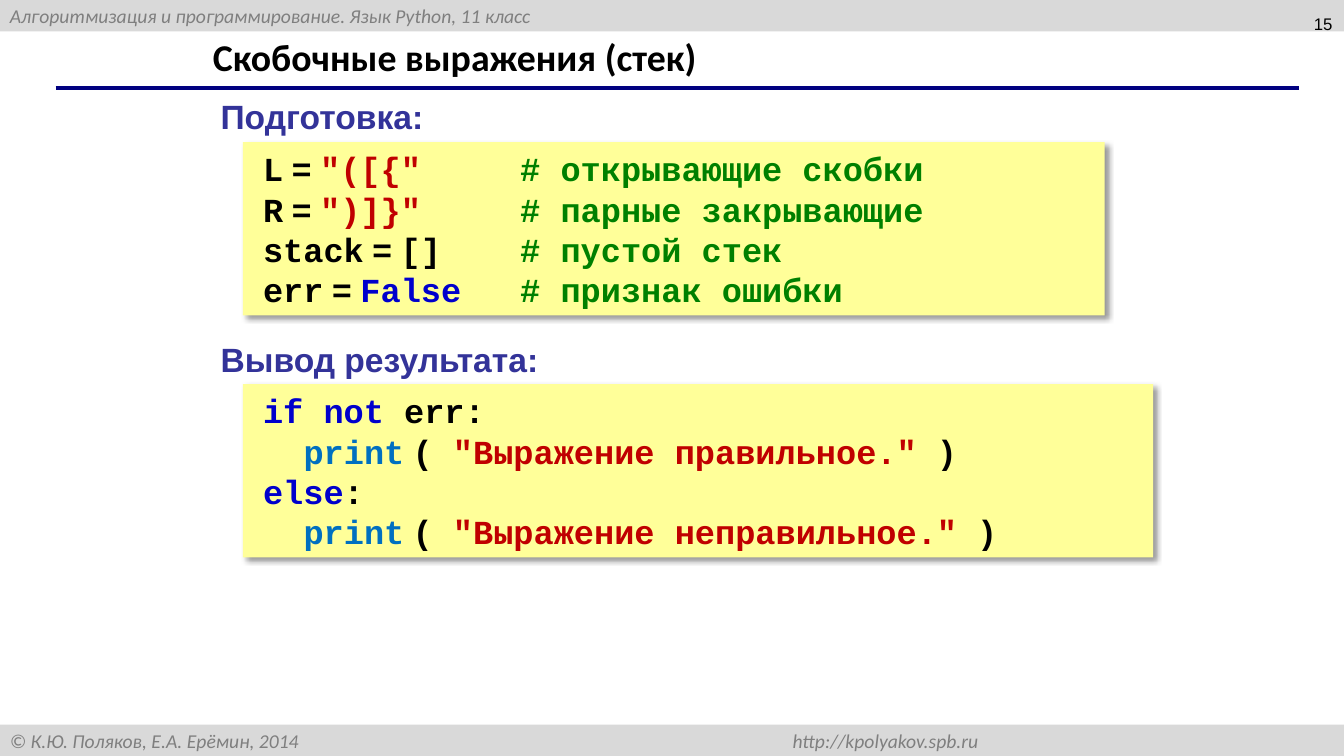
from lxml import etree
from pptx import Presentation
from pptx import util as u
from pptx.dml import color
from pptx.enum import shapes, text
from pptx.oxml import ns

SLIDE_WIDTH, SLIDE_HEIGHT = 33.87, 19.05
BAR_HEIGHT = 0.79
CODE_LEFT, CODE_HEIGHT = 6.12, 4.37
COMMENT_TAB = 6.48
CODE_INDENT = 1.02

CODE_COLORS = {
    "plain": "000000",
    "space": "000000",
    "string": "C00000",
    "comment": "008000",
    "keyword": "0000CC",
    "function": "0070C0",
}

SPACE = (" ", "space")
TAB = ("\t", "plain")


def assignment(name, value, kind, comment):
    return 0, [(name, "plain"), SPACE, ("=", "plain"), SPACE,
               (value, kind), TAB, (comment, "comment")]


def print_call(message):
    return CODE_INDENT, [("print", "function"), SPACE, ("( ", "plain"),
                         (message, "string"), (" )", "plain")]


PREPARATION = [
    assignment("L", '"([{"', "string", "# открывающие скобки"),
    assignment("R", '")]}"', "string", "# парные закрывающие"),
    assignment("stack", "[]", "plain", "# пустой стек"),
    assignment("err", "False", "keyword", "# признак ошибки"),
]
RESULT = [
    (0, [("if not", "keyword"), (" err:", "plain")]),
    print_call('"Выражение правильное."'),
    (0, [("else", "keyword"), (":", "plain")]),
    print_call('"Выражение неправильное."'),
]


def rgb(value):
    return color.RGBColor.from_string(value)


def add_run(paragraph, words, font, size, hex_color, bold=False, italic=False):
    run = paragraph.add_run()
    run.text = words
    run.font.name = font
    run.font.size = u.Pt(size)
    run.font.bold = bold
    run.font.italic = italic
    run.font.color.rgb = rgb(hex_color)


def add_tab(paragraph, position, alignment="l"):
    properties = paragraph._p.get_or_add_pPr()
    tabs = etree.SubElement(properties, ns.qn("a:tabLst"))
    etree.SubElement(tabs, ns.qn("a:tab"), pos=str(u.Cm(position)), algn=alignment)


def add_rectangle(slide, left, top, width, height, fill):
    shape = slide.shapes.add_shape(
        shapes.MSO_SHAPE.RECTANGLE, u.Cm(left), u.Cm(top), u.Cm(width), u.Cm(height))
    shape.shadow.inherit = False
    shape.fill.solid()
    shape.fill.fore_color.rgb = rgb(fill)
    shape.line.fill.background()
    shape.text_frame.vertical_anchor = text.MSO_ANCHOR.MIDDLE
    return shape


def add_bar(slide, top, words, tab=None):
    bar = add_rectangle(slide, 0, top, SLIDE_WIDTH, BAR_HEIGHT, "D9D9D9")
    paragraph = bar.text_frame.paragraphs[0]
    paragraph.alignment = text.PP_ALIGN.LEFT
    if tab:
        add_tab(paragraph, tab, "r")
    add_run(paragraph, words, "Calibri", 14, "7F7F7F", italic=True)


def add_rule(slide, left, right, height):
    rule = slide.shapes.add_connector(
        shapes.MSO_CONNECTOR.STRAIGHT, u.Cm(left), u.Cm(height), u.Cm(right), u.Cm(height))
    rule.line.color.rgb = rgb("000080")
    rule.line.width = u.Pt(3)
    etree.SubElement(rule._element.spPr, ns.qn("a:effectLst"))


def set_title(slide, words):
    title = slide.shapes.title
    title.left, title.top = u.Cm(5.11), u.Cm(0.84)
    title.width, title.height = u.Cm(23.27), u.Cm(1.32)
    frame = title.text_frame
    frame.auto_size = text.MSO_AUTO_SIZE.NONE
    frame.vertical_anchor = text.MSO_ANCHOR.MIDDLE
    paragraph = frame.paragraphs[0]
    paragraph.alignment = text.PP_ALIGN.LEFT
    paragraph.line_spacing = 0.9
    add_run(paragraph, words, "Calibri", 27, "000000", bold=True)


def add_label(slide, left, top, width, height, words, size, hex_color, bold=False):
    box = slide.shapes.add_textbox(u.Cm(left), u.Cm(top), u.Cm(width), u.Cm(height))
    paragraph = box.text_frame.paragraphs[0]
    add_run(paragraph, words, "Arial", size, hex_color, bold=bold)
    return box


def add_slide_number(slide, number):
    box = add_label(slide, 25.93, -0.05, 7.9, 1.32, number, 12, "000000")
    box.text_frame.word_wrap = True
    box.text_frame.vertical_anchor = text.MSO_ANCHOR.MIDDLE
    box.text_frame.paragraphs[0].alignment = text.PP_ALIGN.RIGHT


def add_soft_shadow(shape):
    effects = shape._element.spPr.find(ns.qn("a:effectLst"))
    shadow = etree.SubElement(
        effects, ns.qn("a:outerShdw"), blurRad=str(u.Pt(4)), dist=str(u.Pt(3)),
        dir="2700000", algn="tl", rotWithShape="0")
    shade = etree.SubElement(shadow, ns.qn("a:srgbClr"), val="000000")
    etree.SubElement(shade, ns.qn("a:alpha"), val="40000")


def add_code(slide, top, width, lines):
    block = add_rectangle(slide, CODE_LEFT, top, width, CODE_HEIGHT, "FFFF99")
    add_soft_shadow(block)
    frame = block.text_frame
    frame.margin_left = u.Cm(0.51)
    for index, (indent, tokens) in enumerate(lines):
        paragraph = frame.add_paragraph() if index else frame.paragraphs[0]
        paragraph.alignment = text.PP_ALIGN.LEFT
        if indent:
            paragraph._p.get_or_add_pPr().set("marL", str(u.Cm(indent)))
        if TAB in tokens:
            add_tab(paragraph, COMMENT_TAB)
        for words, kind in tokens:
            size = 10 if kind == "space" else 24
            add_run(paragraph, words, "Courier New", size, CODE_COLORS[kind], bold=True)


def main():
    presentation = Presentation()
    presentation.slide_width = u.Cm(SLIDE_WIDTH)
    presentation.slide_height = u.Cm(SLIDE_HEIGHT)
    slide = presentation.slides.add_slide(presentation.slide_layouts[5])

    add_bar(slide, 0, "Алгоритмизация и программирование. Язык Python, 11 класс")
    add_bar(slide, SLIDE_HEIGHT - BAR_HEIGHT,
            "© К.Ю. Поляков, Е.А. Ерёмин, 2014\thttp://kpolyakov.spb.ru", tab=24.41)
    add_rule(slide, 1.4, 32.74, 2.21)
    set_title(slide, "Скобочные выражения (стек)")
    add_slide_number(slide, "15")

    add_label(slide, 5.31, 2.29, 5.66, 1.28, "Подготовка:", 24, "333399", bold=True)
    add_code(slide, 3.58, 21.72, PREPARATION)
    add_label(slide, 5.31, 8.41, 8.61, 1.28, "Вывод результата:", 24, "333399", bold=True)
    add_code(slide, 9.68, 22.94, RESULT)

    presentation.save("out.pptx")


if __name__ == "__main__":
    main()
